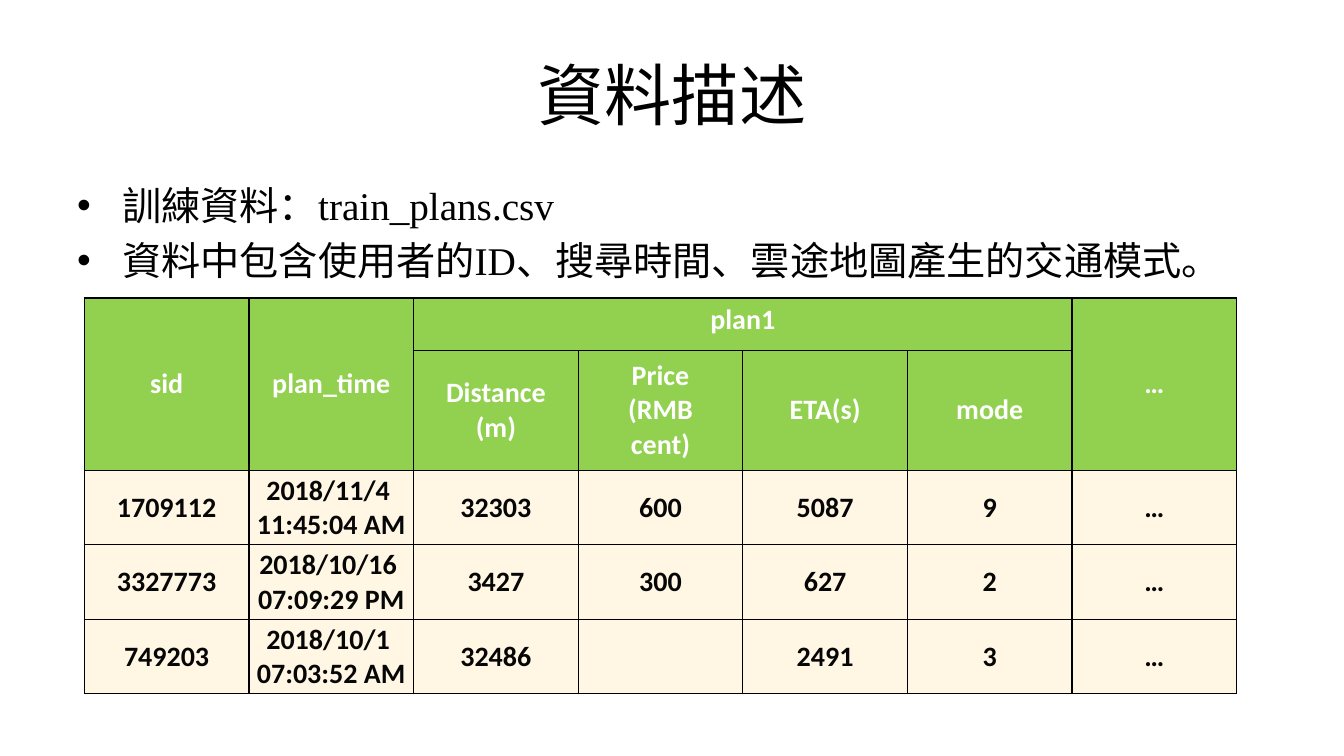
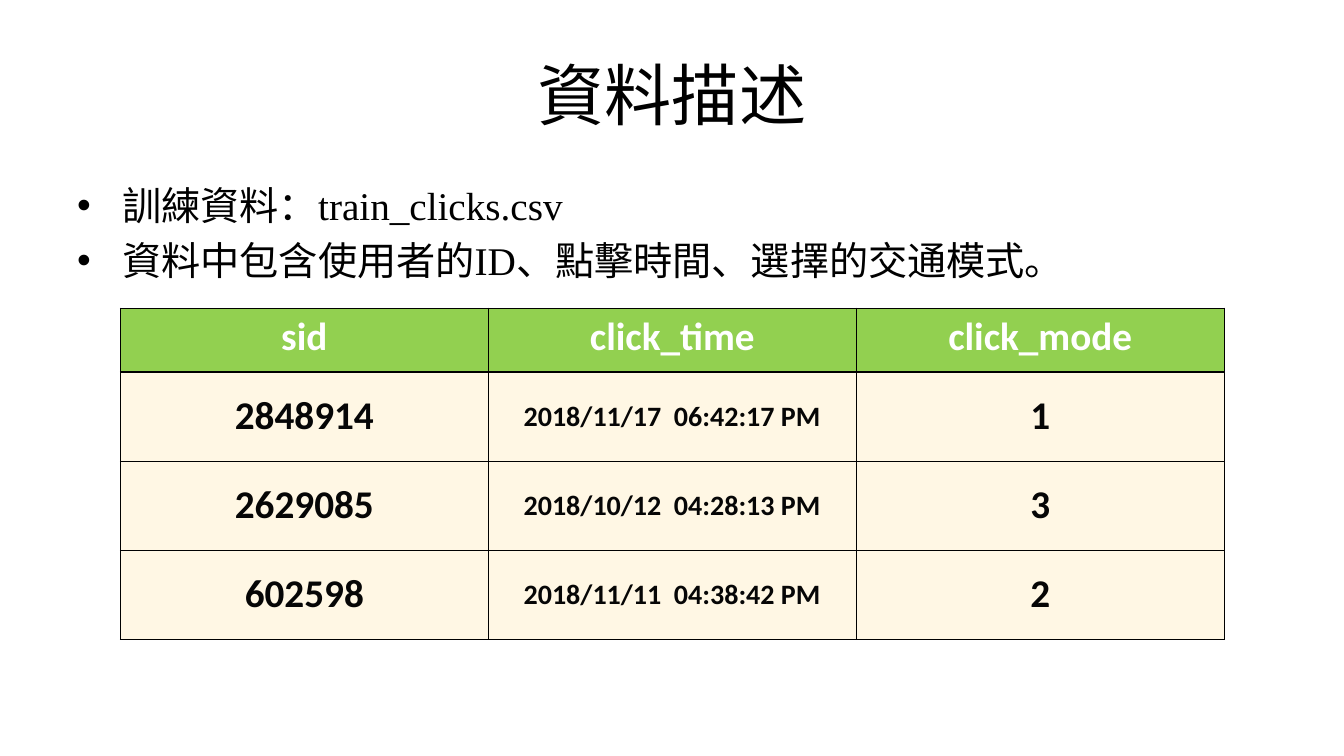
import lxml.etree
import pptx
import pptx.dml.color
import pptx.enum.text
import pptx.oxml.ns
import pptx.util

Pt = pptx.util.Pt
qn = pptx.oxml.ns.qn
ALIGN = pptx.enum.text.PP_ALIGN
ANCHOR = pptx.enum.text.MSO_ANCHOR

BLACK, WHITE, INK = "000000", "FFFFFF", "060606"
GREEN, CREAM = "92D050", "FFF7E4"
TITLE = "資料描述"

PAGES = [
    {
        "bullets": ["訓練資料：train_plans.csv",
                    "資料中包含使用者的ID、搜尋時間、雲途地圖產生的交通模式。"],
        "corner": (60.3, 212.9), "column": 117.6,
        "heights": [37.4, 85.6, 53.2, 53.2, 53.2],
        "size": 20, "header_rows": 2, "body_margin": 0.7,
        "merges": [(0, 0, 1, 0), (0, 1, 1, 1), (0, 2, 0, 5), (0, 6, 1, 6)],
        "rows": [
            ["sid", "plan_time", "plan1", "", "", "", "…"],
            ["", "", "Distance\n(m)", "Price\n(RMB cent)", "ETA(s)", "mode", ""],
            ["1709112", "2018/11/4  11:45:04 AM", "32303", "600", "5087", "9", "…"],
            ["3327773", "2018/10/16  07:09:29 PM", "3427", "300", "627", "2", "…"],
            ["749203", "2018/10/1  07:03:52 AM", "32486", "", "2491", "3", "…"],
        ],
    },
    {
        "bullets": ["訓練資料：train_clicks.csv",
                    "資料中包含使用者的ID、點擊時間、選擇的交通模式。"],
        "corner": (86, 220.2), "column": 262.8,
        "heights": [45.6, 63.6, 63.6, 63.6],
        "size": 28, "header_rows": 1, "body_margin": 7.2,
        "merges": [],
        "rows": [
            ["sid", "click_time", "click_mode"],
            ["2848914", "2018/11/17  06:42:17 PM", "1"],
            ["2629085", "2018/10/12  04:28:13 PM", "3"],
            ["602598", "2018/11/11  04:38:42 PM", "2"],
        ],
    },
]
TIME_COLUMN, TIME_SIZE = 1, 20


def color(value):
    return pptx.dml.color.RGBColor.from_string(value)


def style(paragraph, name, size, ink, bold=False):
    paragraph.font.name = name
    paragraph.font.size = Pt(size)
    paragraph.font.bold = bold
    paragraph.font.color.rgb = color(ink)


deck = pptx.Presentation()
deck.slide_width, deck.slide_height = Pt(960), Pt(540)

for content in PAGES:
    page = deck.slides.add_slide(deck.slide_layouts[6])

    title = page.shapes.add_textbox(Pt(48), Pt(21.6), Pt(864), Pt(90)).text_frame
    title.word_wrap = True
    title.vertical_anchor = ANCHOR.MIDDLE
    title.text = TITLE
    title.paragraphs[0].alignment = ALIGN.CENTER
    style(title.paragraphs[0], "Times New Roman", 48, BLACK)

    body = page.shapes.add_textbox(Pt(48), Pt(126), Pt(864), Pt(356.4)).text_frame
    body.word_wrap = True
    body.text = "\n".join(content["bullets"])
    for paragraph in body.paragraphs:
        paragraph.space_before = Pt(5.6)
        properties = paragraph._p.get_or_add_pPr()
        properties.set("marL", str(Pt(32.4)))
        properties.set("indent", str(Pt(-32.4)))
        lxml.etree.SubElement(properties, qn("a:buFont"), typeface="Arial")
        lxml.etree.SubElement(properties, qn("a:buChar"), char="•")
        style(paragraph, "Times New Roman", 28, BLACK)

    rows, heights = content["rows"], content["heights"]
    left, top = content["corner"]
    table = page.shapes.add_table(
        len(rows), len(rows[0]), Pt(left), Pt(top),
        Pt(content["column"] * len(rows[0])), Pt(sum(heights))).table
    table.first_row = table.horz_banding = False
    for column in table.columns:
        column.width = Pt(content["column"])
    for row, height in zip(table.rows, heights):
        row.height = Pt(height)
    for first_row, first_column, last_row, last_column in content["merges"]:
        table.cell(first_row, first_column).merge(table.cell(last_row, last_column))

    for r, texts in enumerate(rows):
        header = r < content["header_rows"]
        for c, text in enumerate(texts):
            cell = table.cell(r, c)
            cell.fill.solid()
            cell.fill.fore_color.rgb = color(GREEN if header else CREAM)
            properties = cell._tc.get_or_add_tcPr()
            for position, side in enumerate(("lnL", "lnR", "lnT", "lnB")):
                border = lxml.etree.Element(qn("a:" + side), w=str(Pt(1)))
                fill = lxml.etree.SubElement(border, qn("a:solidFill"))
                lxml.etree.SubElement(fill, qn("a:srgbClr"), val=BLACK)
                properties.insert(position, border)
            if cell.is_spanned:
                continue

            spans_down = cell.is_merge_origin and cell.span_height > 1
            top_row = r == 0 and not spans_down
            cell.vertical_anchor = ANCHOR.TOP if top_row else ANCHOR.MIDDLE
            if not header:
                cell.margin_left = cell.margin_right = Pt(content["body_margin"])
            elif r == 1 and text != "mode":
                cell.margin_left = cell.margin_right = Pt(15)
                cell.margin_top = cell.margin_bottom = Pt(5.8)
            if not header and content["body_margin"] < 1:
                cell.margin_top, cell.margin_bottom = Pt(0.7), Pt(0)

            cell.text = text
            size = TIME_SIZE if c == TIME_COLUMN and not header else content["size"]
            for paragraph in cell.text_frame.paragraphs:
                paragraph.alignment = ALIGN.CENTER
                style(paragraph, "Calibri", size, WHITE if header else INK, True)

deck.save("out.pptx")
